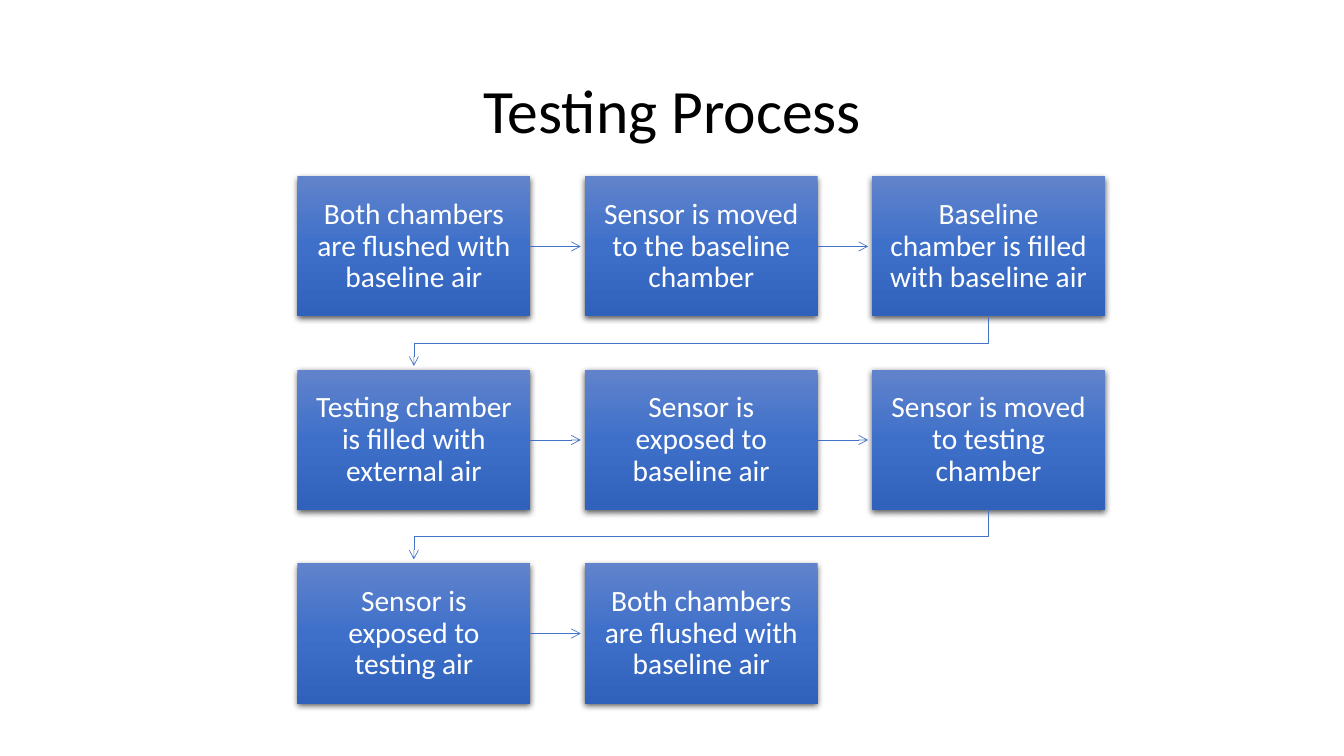
from copy import deepcopy

from pptx import Presentation
from pptx import util as u
from pptx.dml.color import RGBColor
from pptx.enum import shapes, text
from pptx.oxml import parse_xml
from pptx.oxml.ns import nsdecls, qn

PX = u.Inches(1) // 100  # one px is a hundredth of an inch
COLORS = {"title": "000000", "step": "FFFFFF", "arrow": "4472C4",
          "top": "6183CB", "middle": "3E70CA", "bottom": "3062BB",
          "shadow": "000000"}
FONT = "Calibri"
STEPS = [
    "Both chambers are flushed with baseline air",
    "Sensor is moved to the baseline chamber",
    "Baseline chamber is filled with baseline air",
    "Testing chamber is filled with external air",
    "Sensor is exposed to baseline air",
    "Sensor is moved to testing chamber",
    "Sensor is exposed to testing air",
    "Both chambers are flushed with baseline air",
]
COLUMNS = 3
STEP_WIDTH, STEP_HEIGHT = 231, 139
COLUMN_PITCH, ROW_PITCH = 285, 192
ARROW_GAP = 4


def color(name):
    return RGBColor.from_string(COLORS[name])


def px(*lengths):
    return [length * PX for length in lengths]


def write(shape, words, size, color_name, margin):
    """Put one centred paragraph in a shape."""
    frame = shape.text_frame
    frame.word_wrap = True
    frame.vertical_anchor = text.MSO_ANCHOR.MIDDLE
    frame.margin_left = frame.margin_right = margin * PX
    frame.margin_top = frame.margin_bottom = margin * PX
    frame.text = words
    para = frame.paragraphs[0]
    para.alignment = text.PP_ALIGN.CENTER
    para.line_spacing = 0.9
    span = para.runs[0]
    span.font.name = FONT
    span.font.size = u.Pt(size)
    span.font.color.rgb = color(color_name)


def fill_gradient(shape):
    """Shade a box from top to bottom in three stops."""
    shape.fill.gradient()
    stop_list = shape._element.spPr.find(qn("a:gradFill")).find(qn("a:gsLst"))
    stop_list.append(deepcopy(stop_list[0]))
    names = ("top", "middle", "bottom")
    for index, stop in enumerate(shape.fill.gradient_stops):
        stop.position = index / 2
        stop.color.rgb = color(names[index])
    shape.fill.gradient_angle = 270


def add_shadow(shape):
    shape.shadow.inherit = False
    effects = shape._element.spPr.find(qn("a:effectLst"))
    effects.append(parse_xml(
        f'<a:outerShdw {nsdecls("a")} blurRad="{u.Pt(4.5)}" dist="{u.Pt(1.5)}" '
        f'dir="5400000" algn="ctr" rotWithShape="0">'
        f'<a:srgbClr val="{COLORS["shadow"]}"><a:alpha val="63000"/></a:srgbClr>'
        f'</a:outerShdw>'))


def style_arrow(arrow):
    """Thin line with an open head at its end and no shadow."""
    arrow.line.color.rgb = color("arrow")
    arrow.line.width = u.Pt(0.5)
    arrow.line._get_or_add_ln().append(
        parse_xml(f'<a:tailEnd {nsdecls("a")} type="arrow"/>'))
    arrow._element.spPr.append(parse_xml(f'<a:effectLst {nsdecls("a")}/>'))


def add_title(page, left, top, width, height):
    box = page.shapes.add_textbox(*px(left, top, width, height))
    write(box, "Testing Process", 44, "title", 5)


def add_step(page, words, left, top):
    box = page.shapes.add_shape(
        shapes.MSO_SHAPE.RECTANGLE, *px(left, top, STEP_WIDTH, STEP_HEIGHT))
    fill_gradient(box)
    box.line.fill.background()
    add_shadow(box)
    write(box, words, 21, "step", 16)
    return box


def join_across(page, start, end):
    """Straight arrow to the next box in the row."""
    middle = start.top + start.height // 2
    arrow = page.shapes.add_connector(
        shapes.MSO_CONNECTOR.STRAIGHT, start.left + start.width, middle,
        end.left - ARROW_GAP * PX, middle)
    arrow.begin_connect(start, 3)
    style_arrow(arrow)


def join_down(page, start, end):
    """Bent arrow from the end of a row to the start of the next."""
    start_x = start.left + start.width // 2
    end_x = end.left + end.width // 2
    bottom = start.top + start.height
    turn = (bottom + end.top) // 2
    outline = page.shapes.build_freeform(start_x, bottom)
    outline.add_line_segments(
        [(start_x, turn), (end_x, turn), (end_x, end.top - ARROW_GAP * PX)],
        close=False)
    arrow = outline.convert_to_shape()
    arrow.fill.background()
    style_arrow(arrow)


def add_process(page, left, top):
    boxes = []
    for index, words in enumerate(STEPS):
        row, column = divmod(index, COLUMNS)
        boxes.append(add_step(page, words, left + column * COLUMN_PITCH,
                              top + row * ROW_PITCH))
    for start, end in zip(boxes, boxes[1:]):
        join = join_across if start.top == end.top else join_down
        join(page, start, end)


def main():
    deck = Presentation()
    deck.slide_width, deck.slide_height = px(1333, 750)
    page = deck.slides.add_slide(deck.slide_layouts[6])
    add_title(page, 92, 40, 1150, 145)
    add_process(page, 295, 175)
    deck.save("out.pptx")


if __name__ == "__main__":
    main()
